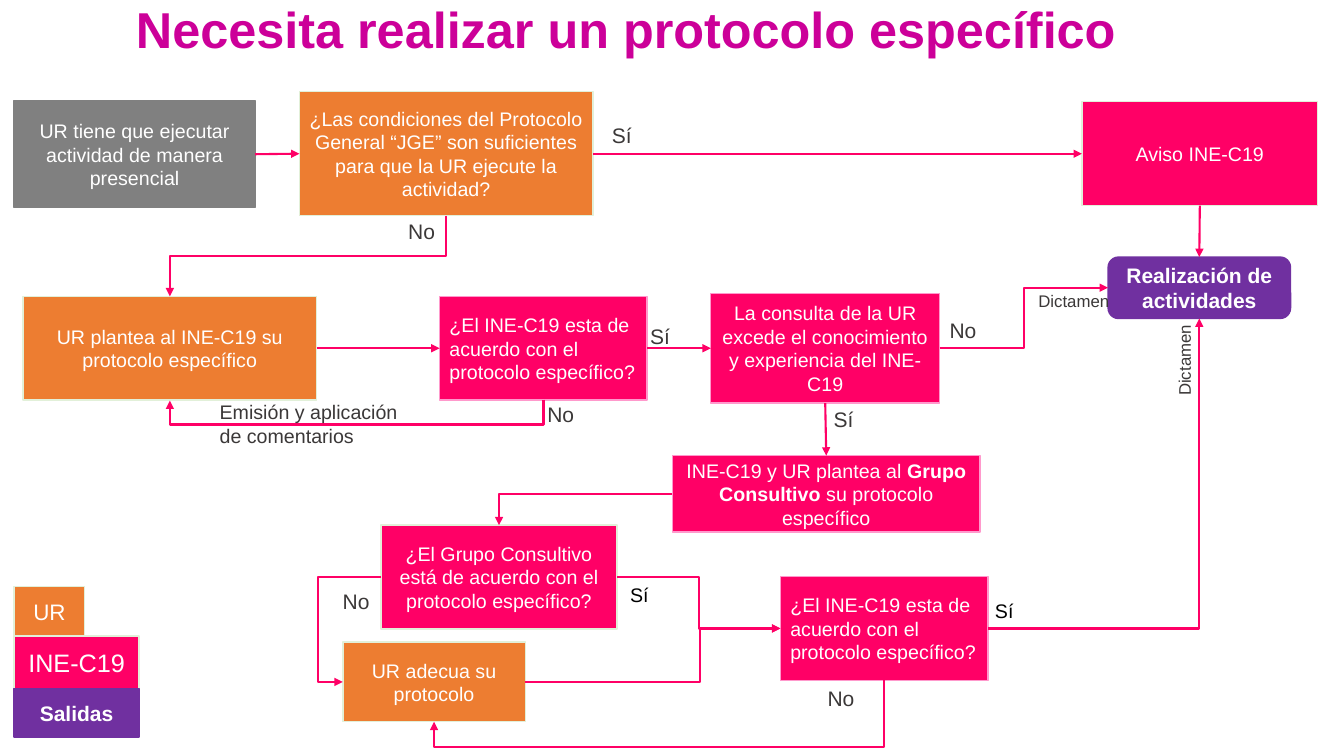
from dataclasses import dataclass

from lxml.etree import SubElement
from pptx import Presentation
from pptx.dml.color import RGBColor
from pptx.enum.shapes import MSO_CONNECTOR, MSO_SHAPE
from pptx.enum.text import MSO_ANCHOR, PP_ALIGN
from pptx.oxml.ns import qn
from pptx.util import Inches, Pt


@dataclass(frozen=True)
class Theme:
    font: str = "Arial"
    title: str = "CC0099"
    start: str = "808080"
    unit: str = "ED7D31"
    institute: str = "FF0066"
    output: str = "7030A0"
    pale_edge: str = "E2F0D9"
    pink_edge: str = "FF99CC"
    white: str = "FFFFFF"
    black: str = "000000"
    grey: str = "3B3838"
    title_size: int = 36
    large_size: int = 18
    legend_size: int = 16
    label_size: int = 15
    body_size: int = 14
    small_size: int = 12


THEME = Theme()
TOP, LEFT, BOTTOM, RIGHT = range(4)


def rgb(colour):
    return RGBColor.from_string(colour)


def add_span(para, text, size, colour, bold=False):
    span = para.add_run()
    span.text = text
    span.font.name = THEME.font
    span.font.size = Pt(size)
    span.font.bold = bold
    span.font.color.rgb = rgb(colour)


def add_box(page, place, spans, fill, edge, size=THEME.body_size,
            align=PP_ALIGN.CENTER, bold=False, radius=None):
    kind = MSO_SHAPE.RECTANGLE if radius is None else MSO_SHAPE.ROUNDED_RECTANGLE
    box = page.shapes.add_shape(kind, *map(Inches, place))
    if radius is not None:
        box.adjustments[0] = radius
    box.shadow.inherit = False
    box.fill.solid()
    box.fill.fore_color.rgb = rgb(fill)
    box.line.color.rgb = rgb(edge)
    box.line.width = Pt(1)
    frame = box.text_frame
    frame.word_wrap = True
    frame.vertical_anchor = MSO_ANCHOR.MIDDLE
    para = frame.paragraphs[0]
    para.alignment = align
    if isinstance(spans, str):
        spans = [(spans, bold)]
    for text, strong in spans:
        add_span(para, text, size, THEME.white, strong)
    return box


def add_label(page, place, text, size=THEME.label_size, colour=THEME.grey,
              wrap=True, rotation=0):
    label = page.shapes.add_textbox(*map(Inches, place))
    label.rotation = rotation
    label.text_frame.word_wrap = wrap
    add_span(label.text_frame.paragraphs[0], text, size, colour)


def add_title(page, text):
    title = page.shapes.add_textbox(0, 0, Inches(12.42), Inches(1.21))
    title.text_frame.word_wrap = True
    para = title.text_frame.paragraphs[0]
    para.alignment = PP_ALIGN.CENTER
    para.line_spacing = 0.9
    add_span(para, text, THEME.title_size, THEME.title, True)


def side_middle(box, side):
    across = {LEFT: 0, RIGHT: box.width}.get(side, box.width // 2)
    down = {TOP: 0, BOTTOM: box.height}.get(side, box.height // 2)
    return box.left + across, box.top + down


def add_arrow(page, kind, source, source_side, target, target_side):
    arrow = page.shapes.add_connector(kind, 0, 0, 0, 0)
    arrow.begin_connect(source, source_side)
    arrow.end_connect(target, target_side)
    arrow.line.color.rgb = rgb(THEME.institute)
    arrow.line.width = Pt(1.5)
    properties = arrow._element.spPr
    SubElement(properties.find(qn("a:ln")), qn("a:tailEnd"), type="triangle")
    SubElement(properties, qn("a:effectLst"))
    return arrow


def add_straight(page, *ends):
    add_arrow(page, MSO_CONNECTOR.STRAIGHT, *ends)


def add_elbow(page, source, source_side, target, target_side, bend=None):
    arrow = add_arrow(page, MSO_CONNECTOR.ELBOW, source, source_side, target, target_side)
    begin = side_middle(source, source_side)
    end = side_middle(target, target_side)
    upright = source_side in (TOP, BOTTOM)
    main = 1 if upright else 0
    run = end[main] - begin[main] or Inches(0.01)
    rise = end[1 - main] - begin[1 - main]
    arrow.width, arrow.height = abs(run), abs(rise)
    arrow.left = (begin[0] + end[0] - arrow.width) // 2
    arrow.top = (begin[1] + end[1] - arrow.height) // 2

    frame = arrow._element.spPr.find(qn("a:xfrm"))
    frame.set("rot", "5400000" if upright else "0")
    frame.set("flipH", str(int(run < 0)))
    frame.set("flipV", str(int((rise > 0) if upright else (rise < 0))))
    geometry = arrow._element.spPr.find(qn("a:prstGeom"))
    if upright != (target_side in (TOP, BOTTOM)):
        geometry.set("prst", "bentConnector2")
    elif bend is not None:
        share = round((Inches(bend) - begin[main]) / run * 100000)
        SubElement(geometry.find(qn("a:avLst")), qn("a:gd"), name="adj1", fmla=f"val {share}")


def add_legend(page):
    add_box(page, (0.14, 5.82, 0.7, 0.49), "UR", THEME.unit, THEME.pale_edge, THEME.legend_size)
    add_box(page, (0.14, 6.31, 1.24, 0.52), "INE-C19", THEME.institute, THEME.pale_edge,
            THEME.large_size)
    add_box(page, (0.14, 6.83, 1.24, 0.48), "Salidas", THEME.output, THEME.output,
            THEME.label_size, bold=True, radius=0)


def add_flow(page):
    unit = THEME.unit, THEME.pale_edge
    institute = THEME.institute, THEME.pale_edge
    review = THEME.institute, THEME.pink_edge
    agreement = "¿El INE-C19 esta de acuerdo con el protocolo específico?"

    activity = add_box(page, (0.14, 1, 2.39, 1.06),
                       "UR tiene que ejecutar actividad de manera presencial",
                       THEME.start, THEME.start)
    conditions = add_box(page, (2.97, 0.91, 2.91, 1.23),
                         "¿Las condiciones del Protocolo General “JGE” son suficientes "
                         "para que la UR ejecute la actividad?", *unit)
    notice = add_box(page, (10.73, 1.01, 2.34, 1.03), "Aviso INE-C19", *institute)
    completion = add_box(page, (10.99, 2.55, 1.81, 0.61), "Realización de actividades",
                         THEME.output, THEME.output, THEME.label_size, bold=True, radius=0.17)
    proposal = add_box(page, (0.23, 2.94, 2.91, 1.03),
                       "UR plantea al INE-C19 su protocolo específico", *unit)
    first_check, second_check = (
        add_box(page, (left, top, 2.06, 1.03), agreement, *review, align=PP_ALIGN.LEFT)
        for left, top in ((4.36, 2.94), (7.74, 5.72)))
    query = add_box(page, (7.05, 2.91, 2.27, 1.09),
                    "La consulta de la UR excede el conocimiento y experiencia del INE-C19",
                    *review)
    referral = add_box(page, (6.67, 4.52, 3.05, 0.76),
                       [("INE-C19 y UR plantea al ", False), ("Grupo Consultivo", True),
                        (" su protocolo específico", False)], *review)
    group_check = add_box(page, (3.78, 5.21, 2.34, 1.03),
                          "¿El Grupo Consultivo está de acuerdo con el protocolo específico?",
                          *institute)
    revision = add_box(page, (3.4, 6.37, 1.81, 0.79), "UR adecua su protocolo", *unit)

    add_straight(page, activity, RIGHT, conditions, LEFT)
    add_straight(page, conditions, RIGHT, notice, LEFT)
    add_straight(page, notice, BOTTOM, completion, TOP)
    add_straight(page, proposal, RIGHT, first_check, LEFT)
    add_straight(page, first_check, RIGHT, query, LEFT)
    add_straight(page, query, BOTTOM, referral, TOP)
    add_elbow(page, conditions, BOTTOM, proposal, TOP)
    add_elbow(page, query, RIGHT, completion, LEFT)
    add_elbow(page, first_check, BOTTOM, proposal, BOTTOM, 4.22)
    add_elbow(page, referral, LEFT, group_check, TOP)
    add_elbow(page, group_check, RIGHT, second_check, LEFT)
    add_elbow(page, group_check, LEFT, revision, LEFT, 3.15)
    add_elbow(page, revision, RIGHT, second_check, LEFT, 6.94)
    add_elbow(page, second_check, RIGHT, completion, BOTTOM)
    add_elbow(page, second_check, BOTTOM, revision, BOTTOM, 7.41)


def add_answers(page):
    for left, top, width, text in (
            (5.97, 1.17, 0.78, "Sí"), (3.95, 2.12, 1.38, "No"),
            (5.33, 3.93, 1.38, "No"), (8.17, 3.98, 1.38, "Sí")):
        add_label(page, (left, top, width, 0.35), text)
    for left, top, width, text in (
            (6.35, 3.16, 0.4, "Sí"), (9.32, 3.1, 0.47, "No"),
            (3.3, 5.79, 0.47, "No"), (8.11, 6.75, 0.47, "No")):
        add_label(page, (left, top, width, 0.35), text, wrap=False)
    for left, top in ((6.15, 5.73), (9.77, 5.89)):
        add_label(page, (left, top, 0.39, 0.34), "Sí", THEME.body_size, THEME.black, False)
    add_label(page, (2.08, 3.92, 2.18, 0.57), "Emisión y aplicación de comentarios",
              THEME.body_size)
    add_label(page, (10.2, 2.84, 2.18, 0.3), "Dictamen", THEME.small_size)
    add_label(page, (11.23, 3.36, 1.03, 0.3), "Dictamen", THEME.small_size, rotation=270)


def main():
    deck = Presentation()
    deck.slide_width, deck.slide_height = Inches(13.33), Inches(7.5)
    page = deck.slides.add_slide(deck.slide_layouts[6])
    add_title(page, "Necesita realizar un protocolo específico")
    add_flow(page)
    add_legend(page)
    add_answers(page)
    deck.save("out.pptx")


if __name__ == "__main__":
    main()
